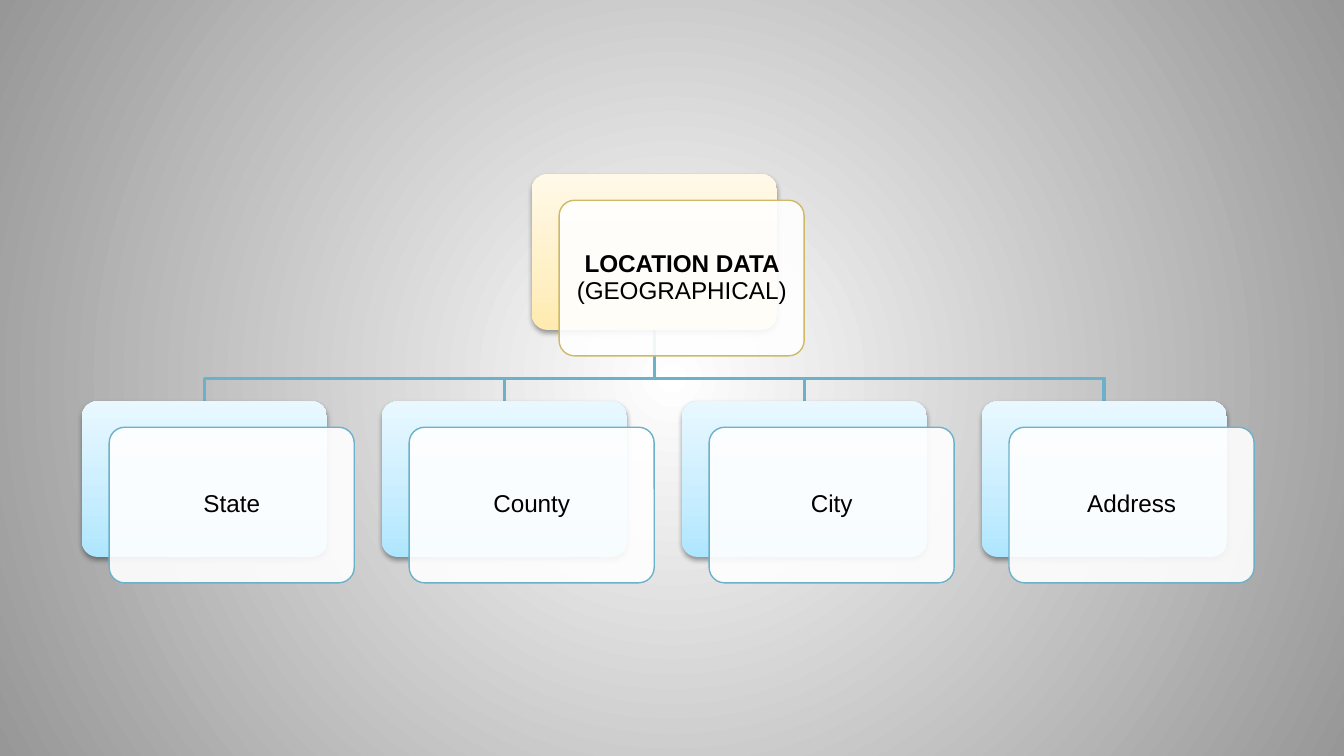
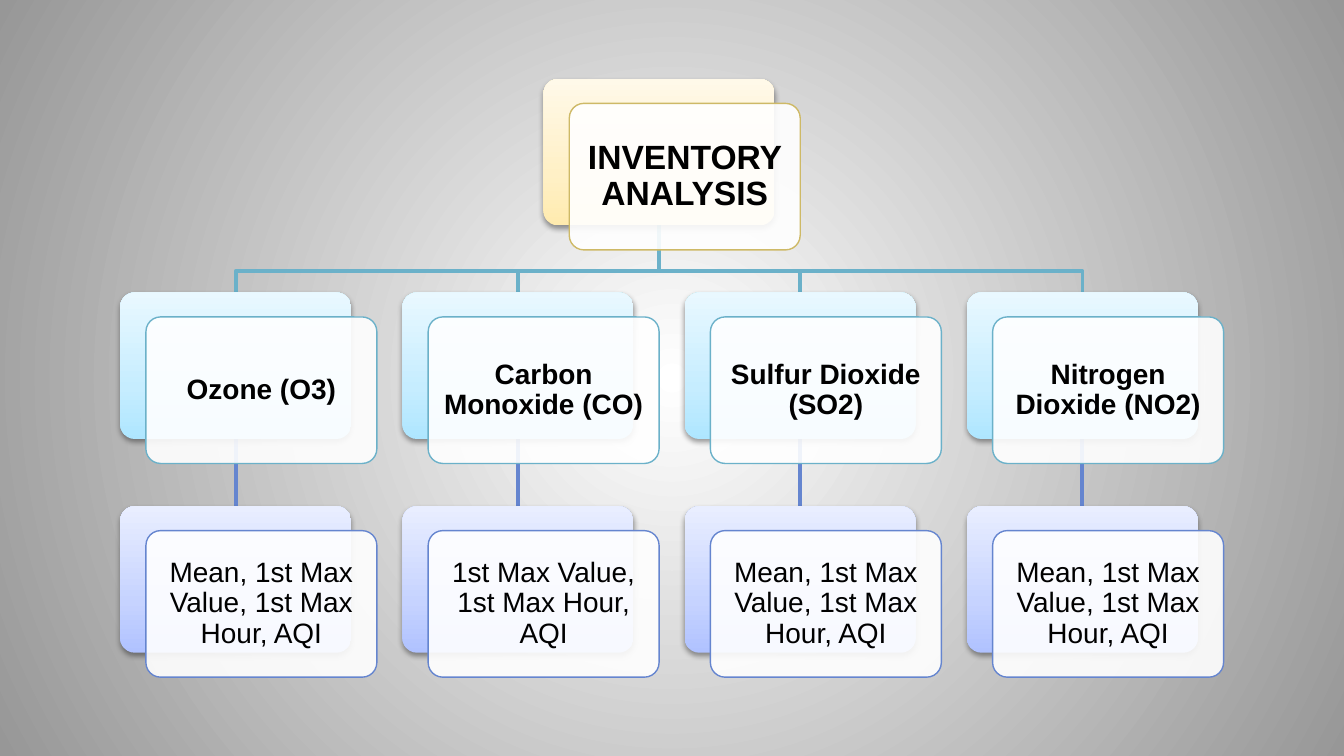
from lxml import etree
from pptx import Presentation
from pptx.dml.color import RGBColor
from pptx.enum.shapes import MSO_CONNECTOR, MSO_SHAPE
from pptx.enum.text import MSO_ANCHOR, PP_ALIGN
from pptx.oxml import parse_xml
from pptx.oxml.ns import nsdecls, qn
from pptx.util import Pt

COLORS = {
    "text": "000000", "panel": "FFFFFF", "center": "FFFFFF", "rim": "979797",
    "gold": "CEB966", "sky": "6BB1C9", "violet": "6585CF",
}
GRADIENTS = {
    "gold": ((0, "FFEBAF"), (35, "FFF0C6"), (100, "FFF9E9")),
    "sky": ((0, "AEE6FF"), (35, "C6EDFF"), (100, "E9F8FF")),
    "violet": ((0, "B0C2FF"), (35, "C6D3FF"), (100, "E9EEFF")),
}
UPWARD = '<a:lin ang="16200000" scaled="0"/>'
RADIAL = ('<a:path path="circle"><a:fillToRect l="50000" t="50000" '
          'r="50000" b="50000"/></a:path>')
FONT = "Arial"


def rgb(name):
    return RGBColor.from_string(COLORS[name])


def use_gradient(properties, stops, direction):
    marks = "".join(
        f'<a:gs pos="{place * 1000}"><a:srgbClr val="{color}"/></a:gs>'
        for place, color in stops)
    gradient = parse_xml(
        f'<a:gradFill {nsdecls("a")} rotWithShape="1">'
        f'<a:gsLst>{marks}</a:gsLst>{direction}</a:gradFill>')
    properties.replace(properties.find(qn("a:solidFill")), gradient)


class TreeDeck:
    def __init__(self):
        self.deck = Presentation()
        self.deck.slide_width, self.deck.slide_height = Pt(720), Pt(405)
        master = self.deck.slide_master
        master.background.fill.solid()
        use_gradient(master.element.xpath("p:cSld/p:bg/p:bgPr")[0],
                     ((0, COLORS["center"]), (100, COLORS["rim"])), RADIAL)

    def start_page(self, card_size, offset):
        self.page = self.deck.slides.add_slide(self.deck.slide_layouts[6])
        self.width, self.height = card_size
        self.offset = offset

    def rounded(self, left, top):
        box = self.page.shapes.add_shape(
            MSO_SHAPE.ROUNDED_RECTANGLE,
            Pt(left), Pt(top), Pt(self.width), Pt(self.height))
        box.adjustments[0] = 0.1
        box.shadow.inherit = False
        box.fill.solid()
        box.fill.fore_color.rgb = rgb("panel")
        return box

    def card(self, left, top, tone, size, spans):
        back = self.rounded(left, top)
        back.line.fill.background()
        properties = back.element.spPr
        use_gradient(properties, GRADIENTS[tone], UPWARD)
        properties.find(qn("a:effectLst")).append(parse_xml(
            f'<a:outerShdw {nsdecls("a")} blurRad="{Pt(3.1)}" dist="{Pt(1.6)}" '
            'dir="5400000" rotWithShape="0"><a:srgbClr val="000000">'
            '<a:alpha val="38000"/></a:srgbClr></a:outerShdw>'))

        front = self.rounded(left + self.offset[0], top + self.offset[1])
        color = front.element.spPr.xpath("a:solidFill/a:srgbClr")[0]
        etree.SubElement(color, qn("a:alpha")).set("val", "90000")
        front.line.color.rgb = rgb(tone)
        front.line.width = Pt(0.75)
        self.label(front.text_frame, size, spans)
        return back

    def label(self, frame, size, spans):
        frame.word_wrap = True
        frame.vertical_anchor = MSO_ANCHOR.MIDDLE
        frame.margin_left = frame.margin_right = Pt(size * 0.3)
        frame.margin_top = frame.margin_bottom = Pt(size * 0.3)
        para = frame.paragraphs[0]
        para.alignment = PP_ALIGN.CENTER
        para.line_spacing = 0.9
        for text, bold in spans:
            span = para.add_run()
            span.text = text
            span.font.name = FONT
            span.font.size = Pt(size)
            span.font.bold = bold
            span.font.color.rgb = rgb("text")

    def elbow(self, start, end):
        (x, y), (end_x, end_y) = start, end
        bend = y + (end_y - y) * 0.68
        builder = self.page.shapes.build_freeform(Pt(x), Pt(y))
        builder.add_line_segments(
            [(Pt(x), Pt(bend)), (Pt(end_x), Pt(bend)), (Pt(end_x), Pt(end_y))],
            close=False)
        branch = builder.convert_to_shape()
        branch.shadow.inherit = False
        branch.fill.background()
        branch.line.color.rgb = rgb("sky")
        branch.line.width = Pt(2)

    def link(self, upper, lower):
        stem = self.page.shapes.add_connector(MSO_CONNECTOR.STRAIGHT, 0, 0, 0, 0)
        stem.begin_connect(upper, 2)
        stem.end_connect(lower, 0)
        stem.line.color.rgb = rgb("violet")
        stem.line.width = Pt(2)
        etree.SubElement(stem.element.spPr, qn("a:effectLst"))
        self.page.shapes[0].element.addprevious(stem.element)

    def tree(self, left, step, tops, root, root_size, size, branches):
        columns = [left + step * index for index in range(len(branches))]
        root_left = (columns[0] + columns[-1]) / 2
        middle = self.width / 2
        for column in reversed(columns):
            self.elbow((root_left + middle, tops[0] + self.height),
                       (column + middle, tops[1]))
        self.card(root_left, tops[0], "gold", root_size, root)
        for column, levels in zip(columns, branches):
            upper = None
            for top, tone, span in zip(tops[1:], ("sky", "violet"), levels):
                box = self.card(column, top, tone, size, [span])
                if upper is not None:
                    self.link(upper, box)
                upper = box


def main():
    show = TreeDeck()

    show.start_page((131.3, 83.4), (14.6, 13.9))
    places = ("State", "County", "City", "Address")
    show.tree(43.9, 160.7, (93.4, 215),
              [("LOCATION DATA ", True), ("(GEOGRAPHICAL)", False)], 13, 13,
              [[(place, False)] for place in places])

    show.start_page((123.7, 78.5), (13.8, 13.1))
    full = "Mean, 1st Max Value, 1st Max Hour, AQI"
    pollutants = (
        ("Ozone (O3)", full),
        ("Carbon Monoxide (CO)", "1st Max Value, 1st Max Hour, AQI"),
        ("Sulfur Dioxide (SO2)", full),
        ("Nitrogen Dioxide (NO2)", full),
    )
    show.tree(64.4, 151.2, (42.3, 156.7, 271.2),
              [("INVENTORY ANALYSIS", True)], 18, 15,
              [[(name, True), (measures, False)] for name, measures in pollutants])

    show.deck.save("out.pptx")


if __name__ == "__main__":
    main()
